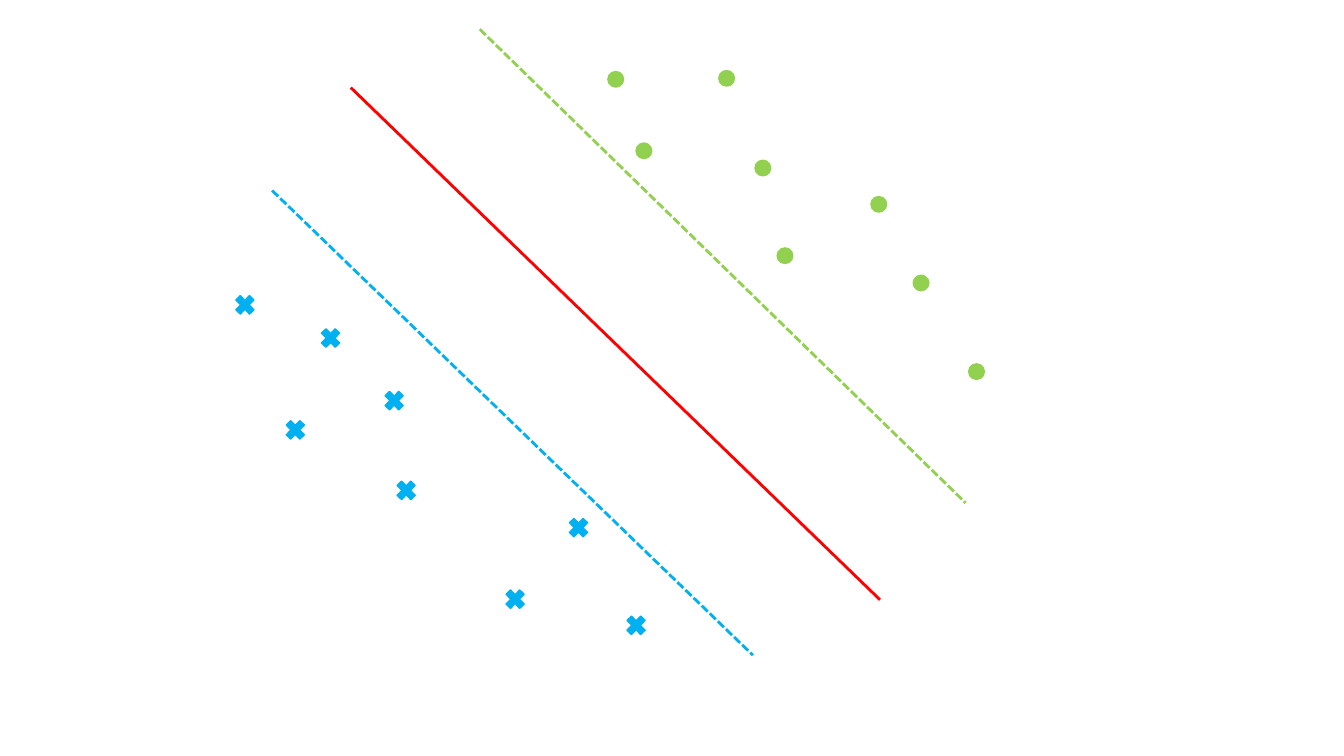
"""Draw two point classes split by a line with a margin on each side."""
import pptx
import pptx.dml.color
import pptx.enum.dml
import pptx.enum.shapes
import pptx.util
import lxml.etree

Pt = pptx.util.Pt
SHAPE = pptx.enum.shapes.MSO_SHAPE
DASH = pptx.enum.dml.MSO_LINE.SQUARE_DOT
HUES = {"split": "FF0000", "cross": "00B0F0", "dot": "92D050"}

LINES = [
    ("split", (250.6, 62.6), (628.6, 428.4), None),
    ("cross", (194.4, 136.1), (537.8, 468), DASH),
    ("dot", (342.7, 20.9), (689.8, 359.3), DASH),
]
DOTS = [
    (434.2, 51.1), (454.3, 102.2), (652.3, 196.6), (555.1, 177.1),
    (691.9, 259.9), (539.3, 114.5), (513.4, 50.4), (622.1, 140.4),
]
CROSSES = [
    (165.6, 208.1), (358.6, 418.3), (226.8, 231.8), (201.6, 297.4),
    (445, 437), (280.8, 340.6), (403.9, 367.2), (272.2, 276.5),
]


def get_hue(name):
    return pptx.dml.color.RGBColor.from_string(HUES[name])


def add_line(slide, name, start, end, dash):
    kind = pptx.enum.shapes.MSO_CONNECTOR.STRAIGHT
    line = slide.shapes.add_connector(kind, *map(Pt, start + end))
    line.line.color.rgb = get_hue(name)
    line.line.width = Pt(2)
    if dash:
        line.line.dash_style = dash
    tag = pptx.oxml.ns.qn("a:effectLst")
    lxml.etree.SubElement(line.element.spPr, tag)


def add_marks(slide, name, kind, spots, size):
    for spot in spots:
        mark = slide.shapes.add_shape(kind, *map(Pt, spot + size))
        mark.shadow.inherit = False
        mark.fill.solid()
        mark.fill.fore_color.rgb = get_hue(name)
        mark.line.color.rgb = get_hue(name)
        mark.line.width = Pt(1)


def main():
    deck = pptx.Presentation()
    deck.slide_width, deck.slide_height = Pt(960), Pt(540)
    slide = deck.slides.add_slide(deck.slide_layouts[6])
    for line in LINES:
        add_line(slide, *line)
    add_marks(slide, "dot", SHAPE.OVAL, DOTS, (11.2, 11.1))
    add_marks(slide, "cross", SHAPE.MATH_MULTIPLY, CROSSES, (18.7, 19.4))
    deck.save("out.pptx")


main()
